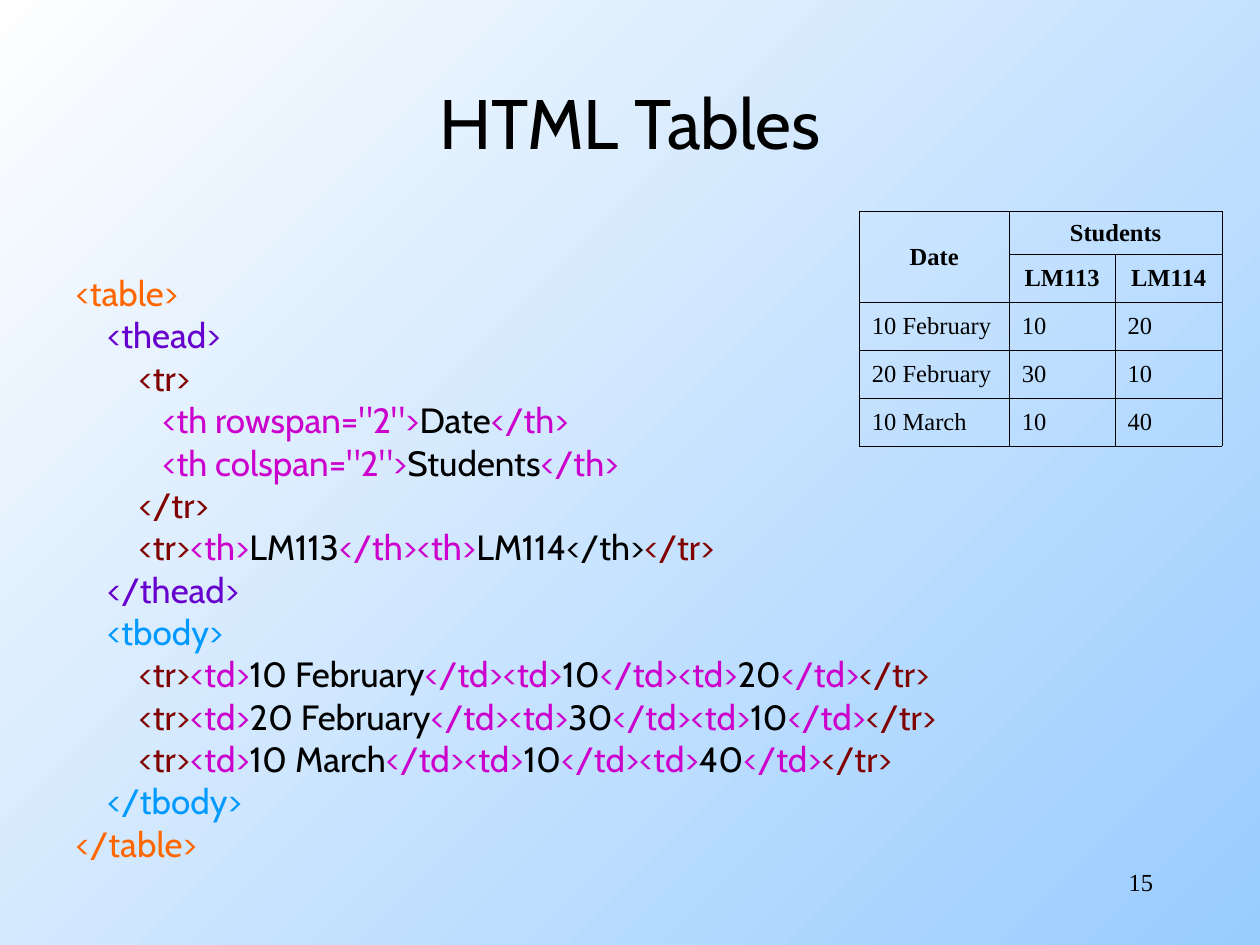
from typing import NamedTuple

from lxml.etree import SubElement
from pptx import Presentation
from pptx.dml.color import RGBColor
from pptx.enum.text import MSO_ANCHOR as Anchor, MSO_AUTO_SIZE as AutoSize, PP_ALIGN as Align
from pptx.oxml.ns import qn
from pptx.util import Inches, Pt

BLACK = RGBColor(0x00, 0x00, 0x00)
ORANGE = RGBColor(0xFF, 0x66, 0x00)
PURPLE = RGBColor(0x66, 0x00, 0xCC)
MAROON = RGBColor(0x80, 0x00, 0x00)
MAGENTA = RGBColor(0xCC, 0x00, 0xCC)
AZURE = RGBColor(0x00, 0x99, 0xFF)
SKY = RGBColor(0x99, 0xCC, 0xFF)
NEAR_WHITE = RGBColor(0xFE, 0xFE, 0xFE)

CODE_FONT = "Cabin"
TABLE_FONT = "Times New Roman"
SECTION_INDENT = " " * 4
ROW_INDENT = " " * 8
HEADER_INDENT = " " * 11


class Span(NamedTuple):
    text: str
    color: RGBColor


class Frame(NamedTuple):
    left: float
    top: float
    width: float
    height: float


TITLE_FRAME = Frame(0.75, 0.34, 8.5, 1.25)
CODE_FRAME = Frame(0.5, 2.17, 9.23, 4.79)
TABLE_FRAME = Frame(6.82, 1.68, 2.88, 1.86)
NUMBER_FRAME = Frame(7.17, 6.83, 2.08, 0.5)
COLUMN_WIDTHS = (1.19, 0.84, 0.85)
ROW_HEIGHTS = (0.34, 0.38, 0.38, 0.38, 0.38)

HEADER_ROWS = [("Date", "Students", ""), ("", "LM113", "LM114")]
DATA_ROWS = [
    ("10 February", "10", "20"),
    ("20 February", "30", "10"),
    ("10 March", "10", "40"),
]


def header_line(attribute: str, text: str) -> list[Span]:
    return [
        Span(f'{HEADER_INDENT}<th {attribute}="2">', MAGENTA),
        Span(text, BLACK),
        Span("</th>", MAGENTA),
    ]


def data_line(values: tuple[str, ...]) -> list[Span]:
    spans = [Span(f"{ROW_INDENT}<tr>", MAROON), Span("<td>", MAGENTA)]
    for index, value in enumerate(values):
        closing = "</td>" if index == len(values) - 1 else "</td><td>"
        spans += [Span(value, BLACK), Span(closing, MAGENTA)]
    return spans + [Span("</tr>", MAROON)]


CODE_LINES = [
    [Span("<table>", ORANGE)],
    [Span(f"{SECTION_INDENT}<thead>", PURPLE)],
    [Span(f"{ROW_INDENT}<tr>", MAROON)],
    header_line("rowspan", "Date"),
    header_line("colspan", "Students"),
    [Span(f"{ROW_INDENT}</tr>", MAROON)],
    [
        Span(f"{ROW_INDENT}<tr>", MAROON),
        Span("<th>", MAGENTA),
        Span("LM113", BLACK),
        Span("</th><th>", MAGENTA),
        Span("LM114</th>", BLACK),
        Span("</tr>", MAROON),
    ],
    [Span(f"{SECTION_INDENT}</thead>", PURPLE)],
    [Span(f"{SECTION_INDENT}<tbody>", AZURE)],
    *[data_line(values) for values in DATA_ROWS],
    [Span(f"{SECTION_INDENT}</tbody>", AZURE)],
    [Span("</table>", ORANGE)],
]


def place(shape, frame: Frame) -> None:
    shape.left, shape.top, shape.width, shape.height = map(Inches, frame)


def set_font(para, name: str, size: float, color: RGBColor, bold: bool = False) -> None:
    para.font.name = name
    para.font.size = Pt(size)
    para.font.bold = bold
    para.font.color.rgb = color


def paint_background(page) -> None:
    fill = page.background.fill
    fill.gradient()
    fill.gradient_angle = 135
    for stop, color in zip(fill.gradient_stops, (SKY, NEAR_WHITE)):
        stop.color.rgb = color


def write_title(box) -> None:
    place(box, TITLE_FRAME)
    frame = box.text_frame
    frame.text = "HTML Tables"
    frame.auto_size = AutoSize.NONE
    frame.vertical_anchor = Anchor.MIDDLE
    para = frame.paragraphs[0]
    para.alignment = Align.CENTER
    set_font(para, CODE_FONT, 40, BLACK)


def write_code(box) -> None:
    place(box, CODE_FRAME)
    frame = box.text_frame
    frame.auto_size = AutoSize.NONE
    for index, line in enumerate(CODE_LINES):
        para = frame.add_paragraph() if index else frame.paragraphs[0]
        para.line_spacing = 0.8
        para.space_before = Pt(5 if index else 0)
        properties = para._p.get_or_add_pPr()
        properties.set("marL", str(Inches(0.38)))
        properties.set("indent", str(-Inches(0.38)))
        SubElement(properties, qn("a:buNone"))
        para.font.name = CODE_FONT
        para.font.size = Pt(20)
        for span in line:
            run = para.add_run()
            run.text = span.text
            run.font.color.rgb = span.color


def add_borders(cell) -> None:
    properties = cell._tc.get_or_add_tcPr()
    for side in ("a:lnL", "a:lnR", "a:lnT", "a:lnB"):
        line = SubElement(properties, qn(side), w=str(Pt(0.34)))
        fill = SubElement(line, qn("a:solidFill"))
        SubElement(fill, qn("a:srgbClr"), val=str(BLACK))


def add_student_table(page) -> None:
    rows = HEADER_ROWS + DATA_ROWS
    table = page.shapes.add_table(
        len(rows), len(COLUMN_WIDTHS), *map(Inches, TABLE_FRAME)
    ).table
    table.first_row = table.horz_banding = False
    for column, width in zip(table.columns, COLUMN_WIDTHS):
        column.width = Inches(width)
    for row, height in zip(table.rows, ROW_HEIGHTS):
        row.height = Inches(height)
    for row_index, values in enumerate(rows):
        is_header = row_index < len(HEADER_ROWS)
        for column_index, value in enumerate(values):
            cell = table.cell(row_index, column_index)
            add_borders(cell)
            cell.fill.background()
            cell.vertical_anchor = Anchor.MIDDLE
            cell.text = value
            para = cell.text_frame.paragraphs[0]
            para.alignment = Align.CENTER if is_header else Align.LEFT
            set_font(para, TABLE_FONT, 14, BLACK, bold=is_header)
    table.cell(0, 0).merge(table.cell(1, 0))
    table.cell(0, 1).merge(table.cell(0, 2))


def add_page_number(page) -> None:
    box = page.shapes.add_textbox(*map(Inches, NUMBER_FRAME))
    box.text_frame.word_wrap = True
    para = box.text_frame.paragraphs[0]
    para.text = "15"
    para.alignment = Align.RIGHT
    set_font(para, TABLE_FONT, 14, BLACK)


def main() -> None:
    deck = Presentation()
    deck.slide_width, deck.slide_height = Inches(10), Inches(7.5)
    page = deck.slides.add_slide(deck.slide_layouts[1])
    paint_background(page)
    write_title(page.shapes.title)
    write_code(page.placeholders[1])
    add_student_table(page)
    add_page_number(page)
    deck.save("out.pptx")


if __name__ == "__main__":
    main()
